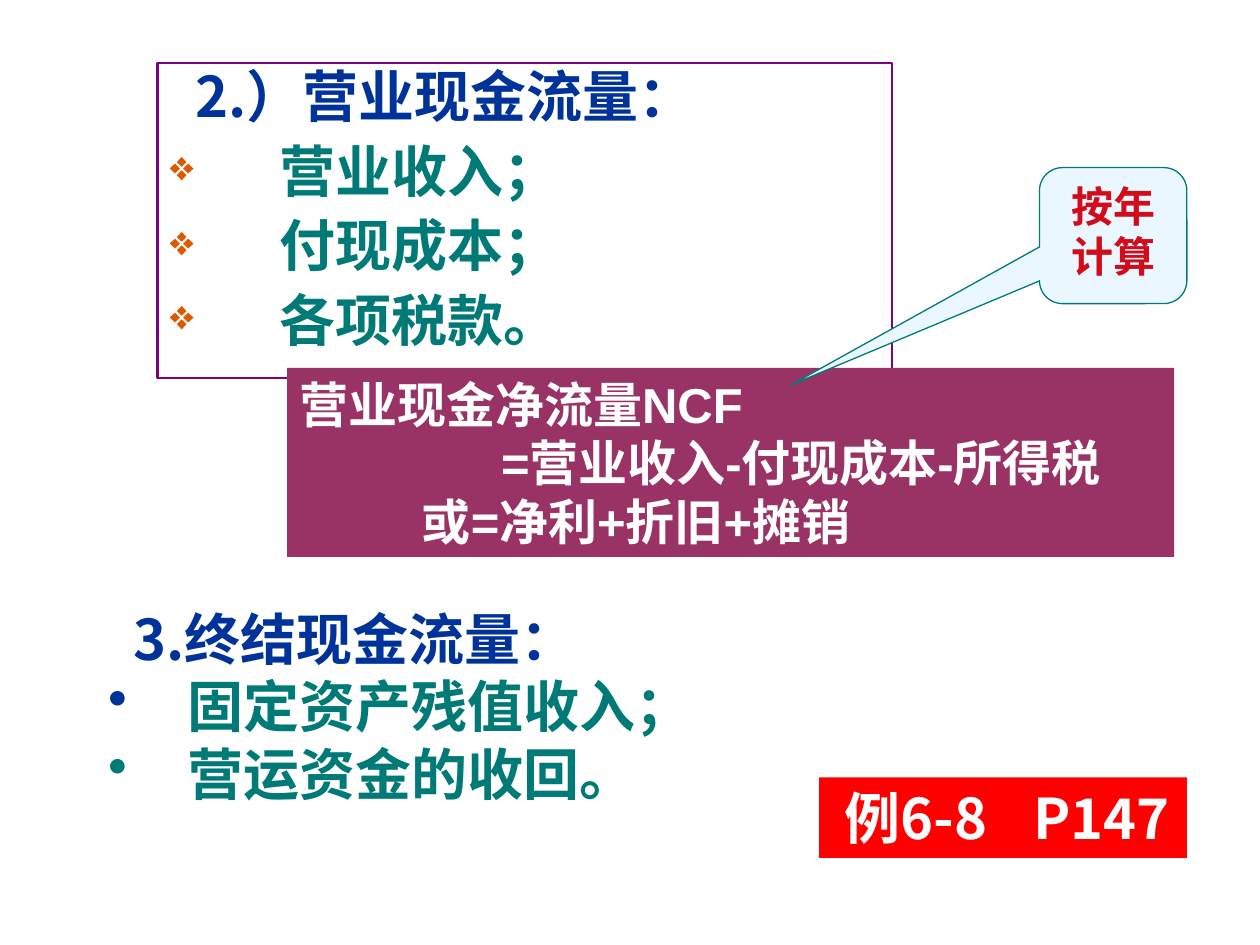
from dataclasses import dataclass

from lxml.etree import SubElement
from pptx import Presentation
from pptx.dml.color import RGBColor
from pptx.enum.shapes import MSO_SHAPE
from pptx.enum.text import MSO_ANCHOR, PP_ALIGN
from pptx.oxml.ns import qn
from pptx.util import Inches, Pt


@dataclass(frozen=True)
class Theme:
    heading: str = "003399"
    item: str = "007A77"
    marker: str = "DC5900"
    frame: str = "800080"
    formula: str = "993366"
    callout: str = "EBF7FF"
    emphasis: str = "D20C1A"
    example: str = "FF0000"
    white: str = "FFFFFF"
    large: int = 32
    medium: int = 28
    small: int = 24
    latin: str = "Arial"
    chinese: str = "Noto Sans CJK SC"
    japanese: str = "Noto Sans CJK JP"


theme = Theme()


def add_box(page, kind, place, fill=None, line=None, width=0.75):
    box = page.shapes.add_shape(kind, *[Inches(value) for value in place])
    box.shadow.inherit = False
    if fill:
        box.fill.solid()
        box.fill.fore_color.rgb = RGBColor.from_string(fill)
    else:
        box.fill.background()
    if line:
        box.line.color.rgb = RGBColor.from_string(line)
        box.line.width = Pt(width)
    else:
        box.line.fill.background()
    box.text_frame.word_wrap = True
    box.text_frame.vertical_anchor = MSO_ANCHOR.TOP
    return box


def write(box, text, color, size=theme.large, latin=theme.chinese, asian=theme.chinese,
          align=PP_ALIGN.LEFT, indent=0, bullet=None, bullet_color=None, bullet_size=100,
          spacing=None, before=0, tab=None):
    frame = box.text_frame
    para = frame.add_paragraph() if frame.paragraphs[0].runs else frame.paragraphs[0]
    para.alignment = align
    para.space_before = Pt(before)
    if spacing:
        para.line_spacing = spacing
    span = para.add_run()
    span.text = text
    span.font.size = Pt(size)
    span.font.bold = True
    span.font.name = latin
    span.font.color.rgb = RGBColor.from_string(color)
    SubElement(span.font._element, qn("a:ea"), typeface=asian)
    layout = para._p.get_or_add_pPr()
    layout.set("marL", str(Inches(indent)))
    layout.set("indent", str(-Inches(indent) if bullet else 0))
    if bullet:
        tint = SubElement(layout, qn("a:buClr"))
        SubElement(tint, qn("a:srgbClr"), val=bullet_color)
        SubElement(layout, qn("a:buSzPct"), val=str(bullet_size * 1000))
        SubElement(layout, qn("a:buChar"), char=bullet)
    if tab:
        stops = SubElement(layout, qn("a:tabLst"))
        SubElement(stops, qn("a:tab"), pos=str(Inches(tab)), algn="l")


deck = Presentation()
deck.slide_width = Inches(10)
deck.slide_height = Inches(7.5)
page = deck.slides.add_slide(deck.slide_layouts[6])

operating = add_box(page, MSO_SHAPE.RECTANGLE, (1.25, 0.5, 5.83, 2.5), line=theme.frame, width=1.5)
write(operating, "2.）营业现金流量：", theme.heading, indent=0.2, spacing=0.9, before=8)
for item in ("营业收入；", "付现成本；", "各项税款。"):
    write(operating, item, theme.item, indent=0.87, bullet="❖", bullet_color=theme.marker,
          bullet_size=75, spacing=0.9, before=8)

terminal = add_box(page, MSO_SHAPE.RECTANGLE, (0.76, 4.75, 4.91, 2.24))
write(terminal, "3.终结现金流量：", theme.heading, indent=0.2)
for item, marker in (("固定资产残值收入；", theme.heading), ("营运资金的收回。", theme.item)):
    write(terminal, item, theme.item, indent=0.63, bullet="•", bullet_color=marker)

formula = add_box(page, MSO_SHAPE.RECTANGLE, (2.28, 2.92, 7.04, 1.5), fill=theme.formula)
formula.text_frame.margin_right = 0
for text, indent in (("营业现金净流量NCF", 0), ("=营业收入-付现成本-所得税", 1.6), ("或=净利+折旧+摊销", 0.97)):
    write(formula, text, theme.white, size=theme.medium, latin=theme.latin, indent=indent)

callout = add_box(page, MSO_SHAPE.ROUNDED_RECTANGULAR_CALLOUT, (8.25, 1.33, 1.17, 1.08),
                  fill=theme.callout, line=theme.item)
for index, value in enumerate((-2.19, 1.1, 0.17)):
    callout.adjustments[index] = value
write(callout, "按年计算", theme.emphasis, size=theme.small, latin=theme.latin, align=PP_ALIGN.CENTER)

example = add_box(page, MSO_SHAPE.RECTANGLE, (6.5, 6.17, 2.92, 0.64), fill=theme.example)
example.text_frame.margin_left = Inches(0.2)
write(example, "例6-8\tP147", theme.white, latin=theme.japanese, asian=theme.japanese, tab=1.44)

deck.save("out.pptx")
